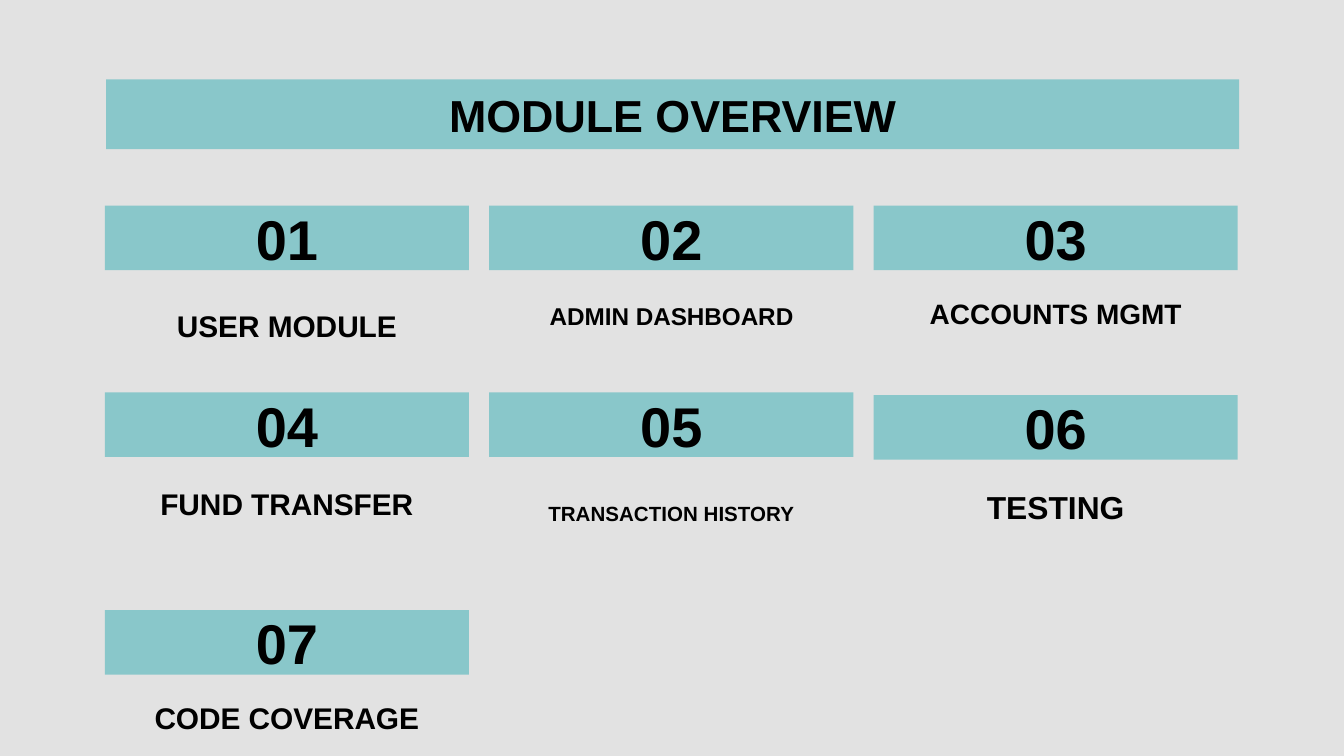
from pptx import Presentation
from pptx.dml.color import RGBColor
from pptx.enum.shapes import MSO_SHAPE as Shape
from pptx.enum.text import MSO_ANCHOR as Anchor, PP_ALIGN as Align
from pptx.util import Inches, Pt

LEFT, COLUMN_STEP, WIDTH, HEIGHT = 0.78, 2.86, 2.71, 0.48

# number, column, bar top, label, label top, label size
MODULES = [
    ("01", 0, 1.53, "USER MODULE", 2.19, 16),
    ("02", 1, 1.53, "ADMIN DASHBOARD", 2.08, 13),
    ("03", 2, 1.53, "ACCOUNTS MGMT", 2.08, 15),
    ("04", 0, 2.92, "FUND TRANSFER", 3.5, 16),
    ("05", 1, 2.92, "TRANSACTION HISTORY", 3.52, 11),
    ("06", 2, 2.94, "TESTING", 3.53, 17),
    ("07", 0, 4.54, "CODE COVERAGE", 5.09, 16),
]


def color(value):
    """Turn a hex string into a colour."""
    return RGBColor.from_string(value)


def write(box, text, size, anchor=Anchor.MIDDLE, font="Arial", ink="000000"):
    """Put one bold, centred line of text in a box."""
    frame = box.text_frame
    frame.word_wrap = True
    frame.vertical_anchor = anchor
    frame.margin_left = frame.margin_right = Inches(0.1)
    frame.margin_top = frame.margin_bottom = Inches(0.1)
    para = frame.paragraphs[0]
    para.alignment = Align.CENTER
    span = para.add_run()
    span.text = text
    span.font.name = font
    span.font.size = Pt(size)
    span.font.bold = True
    span.font.color.rgb = color(ink)


class Painter:
    """Holds the style and the current slide."""

    bar_fill = "89C7CA"
    background = "E2E2E2"

    def __init__(self, page):
        """Take a slide and colour its background."""
        self.page = page
        fill = page.background.fill
        fill.solid()
        fill.fore_color.rgb = color(self.background)

    def bar(self, text, left, top, width=WIDTH, height=HEIGHT, size=30):
        """Draw a filled bar with text."""
        box = self.page.shapes.add_shape(
            Shape.RECTANGLE, Inches(left), Inches(top), Inches(width), Inches(height))
        box.shadow.inherit = False
        box.fill.solid()
        box.fill.fore_color.rgb = color(self.bar_fill)
        box.line.fill.background()
        write(box, text, size)

    def label(self, text, left, top, size, height=HEIGHT, anchor=Anchor.BOTTOM):
        """Draw a text label."""
        box = self.page.shapes.add_textbox(
            Inches(left), Inches(top), Inches(WIDTH), Inches(height))
        write(box, text, size, anchor)


def main():
    """Build the module overview slide."""
    deck = Presentation()
    deck.slide_width = Inches(10)
    deck.slide_height = deck.slide_width * 9 // 16
    painter = Painter(deck.slides.add_slide(deck.slide_layouts[6]))
    painter.bar("MODULE OVERVIEW", 0.79, 0.59, width=8.43, height=0.52, size=24)
    for number, column, bar_top, name, label_top, size in MODULES:
        left = LEFT + column * COLUMN_STEP
        painter.bar(number, left, bar_top)
        first = {"height": 0.55, "anchor": Anchor.TOP} if number == "01" else {}
        painter.label(name, left, label_top, size, **first)
    deck.save("out.pptx")


main()
